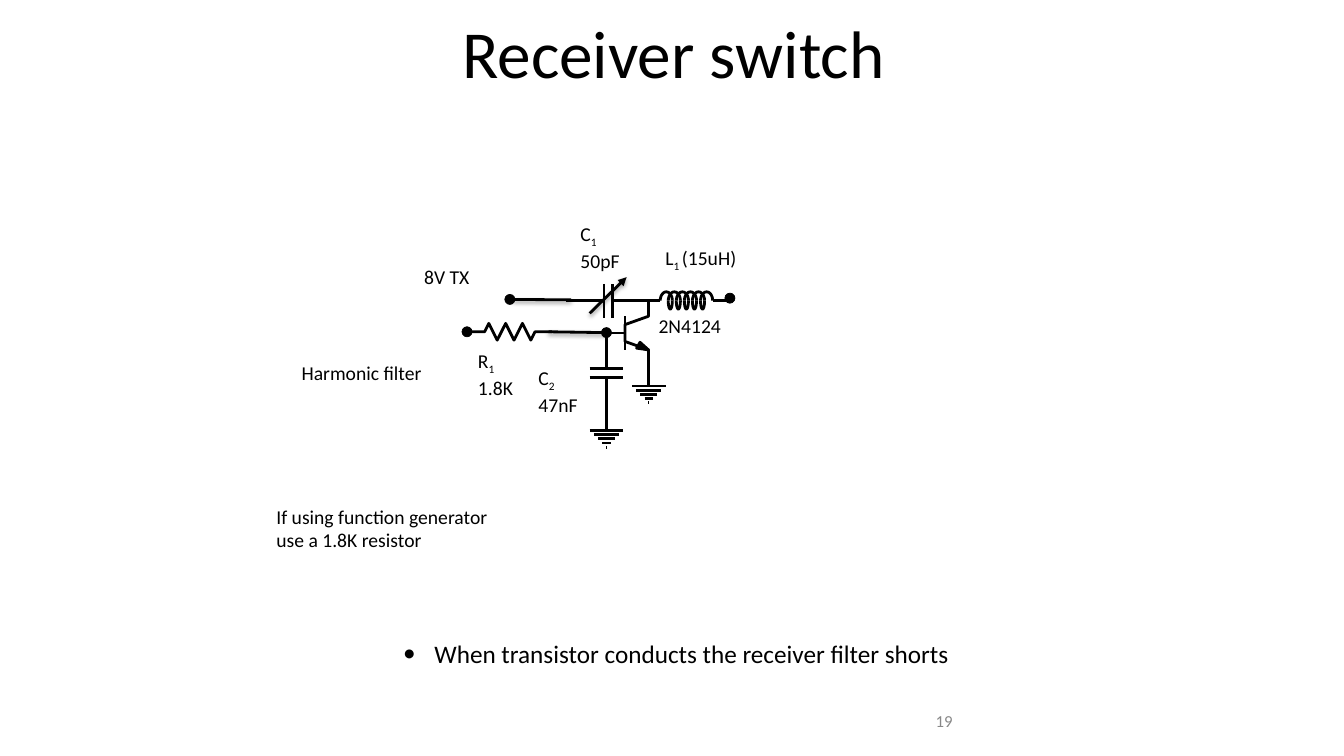
from math import cos, pi, sin

from lxml.etree import SubElement
from pptx import Presentation
from pptx.dml.color import RGBColor
from pptx.enum.shapes import MSO_CONNECTOR as Connector, MSO_SHAPE as Shape
from pptx.enum.text import MSO_ANCHOR as Anchor, PP_ALIGN as Align
from pptx.oxml.ns import qn
from pptx.util import Inches, Pt

COLUMNS, ROWS = 160, 90


def colour(value):
    """Turn a hex string into a colour."""
    return RGBColor.from_string(value)


class Schematic:
    """Draws text and circuit symbols on a 160 by 90 grid."""

    font, ink, grey, stroke = "Calibri", "000000", "888888", 2

    def __init__(self, deck):
        """Open a title-only page in the deck."""
        self.cell_width = deck.slide_width / COLUMNS
        self.cell_height = deck.slide_height / ROWS
        self.page = deck.slides.add_slide(deck.slide_layouts[5])
        self.shapes = self.page.shapes

    def place(self, column, row):
        """Convert a grid position or size to slide units."""
        return round(column * self.cell_width), round(row * self.cell_height)

    def span(self, para, text, size, ink=None, subscript=False):
        """Add one run of text."""
        span = para.add_run()
        span.text = text
        span.font.name, span.font.size, span.font.bold = self.font, Pt(size), False
        span.font.color.rgb = colour(ink or self.ink)
        if subscript:
            span.font._element.set("baseline", "-25000")

    def title(self, text, area):
        """Place and fill the title."""
        box = self.shapes.title
        box.left, box.top = self.place(*area[:2])
        box.width, box.height = self.place(*area[2:])
        frame = box.text_frame
        frame.margin_left = frame.margin_right = frame.margin_top = frame.margin_bottom = 0
        frame.vertical_anchor = Anchor.MIDDLE
        frame.paragraphs[0].alignment = Align.CENTER
        self.span(frame.paragraphs[0], text, 48)

    def text(self, area, lines, size=14, ink=None, align=Align.LEFT, anchor=Anchor.TOP, bullet=False):
        """Add lines of runs, where every second run is a subscript."""
        box = self.shapes.add_textbox(*self.place(*area[:2]), *self.place(*area[2:]))
        frame = box.text_frame
        frame.word_wrap, frame.vertical_anchor = True, anchor
        frame.margin_left = frame.margin_right = Inches(0.05)
        frame.margin_top = frame.margin_bottom = Inches(0.05)
        for index, runs in enumerate(lines):
            para = frame.add_paragraph() if index else frame.paragraphs[0]
            para.alignment = align
            if bullet:
                properties = para._p.get_or_add_pPr()
                properties.set("marL", str(Inches(0.31)))
                properties.set("indent", str(-Inches(0.31)))
                SubElement(properties, qn("a:buFont")).set("typeface", "Calibri")
                SubElement(properties, qn("a:buChar")).set("char", "•")
            for position, words in enumerate(runs):
                self.span(para, words, size, ink, position % 2 == 1)

    def wire(self, start, end, shadow=False, arrow=False):
        """Draw a straight line between two grid points."""
        wire = self.shapes.add_connector(Connector.STRAIGHT, *self.place(*start), *self.place(*end))
        wire.line.color.rgb, wire.line.width = colour(self.ink), Pt(self.stroke)
        if arrow:
            SubElement(wire.line._get_or_add_ln(), qn("a:tailEnd")).set("type", "triangle")
        effects = SubElement(wire._element.spPr, qn("a:effectLst"))
        if shadow:
            outer = SubElement(effects, qn("a:outerShdw"), blurRad=str(Pt(3)), dist=str(Pt(1.6)),
                               dir="5400000", rotWithShape="0")
            tint = SubElement(outer, qn("a:srgbClr"), val=self.ink)
            SubElement(tint, qn("a:alpha"), val="38000")

    def outline(self, points, filled=False):
        """Draw a line through points, or a filled polygon."""
        start, *rest = [self.place(*point) for point in points]
        builder = self.shapes.build_freeform(*start)
        builder.add_line_segments(rest, close=filled)
        shape = builder.convert_to_shape()
        shape.shadow.inherit = False
        shape.line.color.rgb, shape.line.width = colour(self.ink), Pt(self.stroke)
        if filled:
            shape.fill.solid()
            shape.fill.fore_color.rgb = colour(self.ink)
        else:
            shape.fill.background()

    def arc(self, left, middle, width, height):
        """Draw half an ellipse, upward for a positive height."""
        steps = 16
        angles = [pi - pi * step / steps for step in range(steps + 1)]
        self.outline([(left + width / 2 * (1 + cos(angle)), middle - height * sin(angle))
                      for angle in angles])

    def dot(self, column, row, size=1.2):
        """Draw a terminal or junction around a grid point."""
        corner = self.place(column - size / 2, row - size / 2)
        dot = self.shapes.add_shape(Shape.OVAL, *corner, *self.place(size, size))
        dot.shadow.inherit = False
        dot.fill.solid()
        dot.fill.fore_color.rgb = colour(self.ink)
        dot.line.color.rgb, dot.line.width = colour(self.ink), Pt(0.5)

    def coil(self, left, row, turns=6, pitch=0.96):
        """Draw an inductor with its leads."""
        width = 1.5 * pitch
        for turn in range(turns):
            self.arc(left + turn * pitch, row, width, 1.05)
            if turn:
                self.arc(left + turn * pitch, row, width - pitch, -1)
        right = left + (turns - 1) * pitch + width
        self.wire((left, row), (left - 1.7, row))
        self.wire((right, row), (right + 1.7, row))

    def capacitor(self, column, row, upright):
        """Draw two plates, upright or level, and two leads around a centre."""
        for side in (-1, 1):
            near, far = side * 0.5, side * 5
            ends = [(near, -2), (near, 2), (near, 0), (far, 0)]
            points = [(column + along, row + across) if upright else (column + across, row + along)
                      for along, across in ends]
            self.wire(*points[:2])
            self.wire(*points[2:])

    def ground(self, column, row):
        """Draw a ground symbol below its lead."""
        self.wire((column, row - 3), (column, row))
        for step, half in enumerate((2, 1.5, 1, 0.5, 0.05)):
            level = row + step / 2
            self.wire((column - half, level), (column + half, level))

    def resistor(self, left, row):
        """Draw a zigzag with its leads."""
        peaks = [(left + 2.5 + peak, row + (1 if peak % 2 else -1)) for peak in range(6)]
        self.outline([(left, row), (left + 2, row), *peaks, (left + 8, row), (left + 10, row)])

    def transistor(self, column, row):
        """Draw an NPN transistor around the centre of its bar."""
        out = column + 2.8
        self.outline([(out, row - 4), (out, row - 2), (column, row - 1),
                      (column, row + 1), (out, row + 2), (out, row + 4)])
        self.wire((column, row - 2), (column, row + 2))
        self.wire((column, row), (column - 2.5, row))
        self.outline([(out, row + 2), (out - 1, row + 1.1), (out - 1.4, row + 1.8)], filled=True)


def main():
    """Build the receiver switch page."""
    deck = Presentation()
    deck.slide_width, deck.slide_height = Inches(13.33), Inches(7.5)
    page = Schematic(deck)
    page.title("Receiver switch", (2.3, 1.3, 155.8, 9.7))
    page.text((47.4, 75.4, 70.9, 4.8), [["When transistor conducts the receiver filter shorts"]],
              size=18, bullet=True)

    page.coil(78.6, 35.8)
    page.capacitor(72.4, 35.8, upright=True)
    page.capacitor(72.2, 44.4, upright=False)
    page.transistor(74.4, 39.65)
    page.resistor(55.7, 39.5)
    for column, row in ((72.2, 51.25), (77.25, 45.95)):
        page.ground(column, row)
    page.wire((65.3, 39.5), (72.2, 39.6), shadow=True)
    page.wire((61.1, 35.65), (68, 35.7), shadow=True)
    page.wire((70.2, 37.3), (74.6, 33), shadow=True, arrow=True)
    for column, row in ((55.6, 39.5), (86.9, 35.5), (60.7, 35.65), (72.2, 39.6)):
        page.dot(column, row)

    labels = [
        ((77.8, 36.8, 9.1, 4.1), [["2N4124"]]),
        ((49.9, 31, 11, 4.1), [["8V TX"]]),
        ((32.3, 59.5, 32.8, 6.8), [["If using function generator"], ["use a 1.8K resistor"]]),
        ((78.6, 28.7, 17.2, 4.1), [["L", "1 ", "(15uH)"]]),
        ((68.5, 25.8, 10.2, 6.8), [["C", "1"], ["50pF"]]),
        ((56.3, 41, 8.6, 6.8), [["R", "1"], ["1.8K"]]),
        ((63.5, 43, 7.1, 6.8), [["C", "2"], ["47nF"]]),
        ((35.3, 42.4, 17.8, 4.1), [["Harmonic filter"]]),
    ]
    for area, lines in labels:
        page.text(area, lines)
    page.text((86, 84, 28, 3.5), [["19"]], size=12, ink=page.grey, align=Align.RIGHT, anchor=Anchor.MIDDLE)
    deck.save("out.pptx")


if __name__ == "__main__":
    main()
